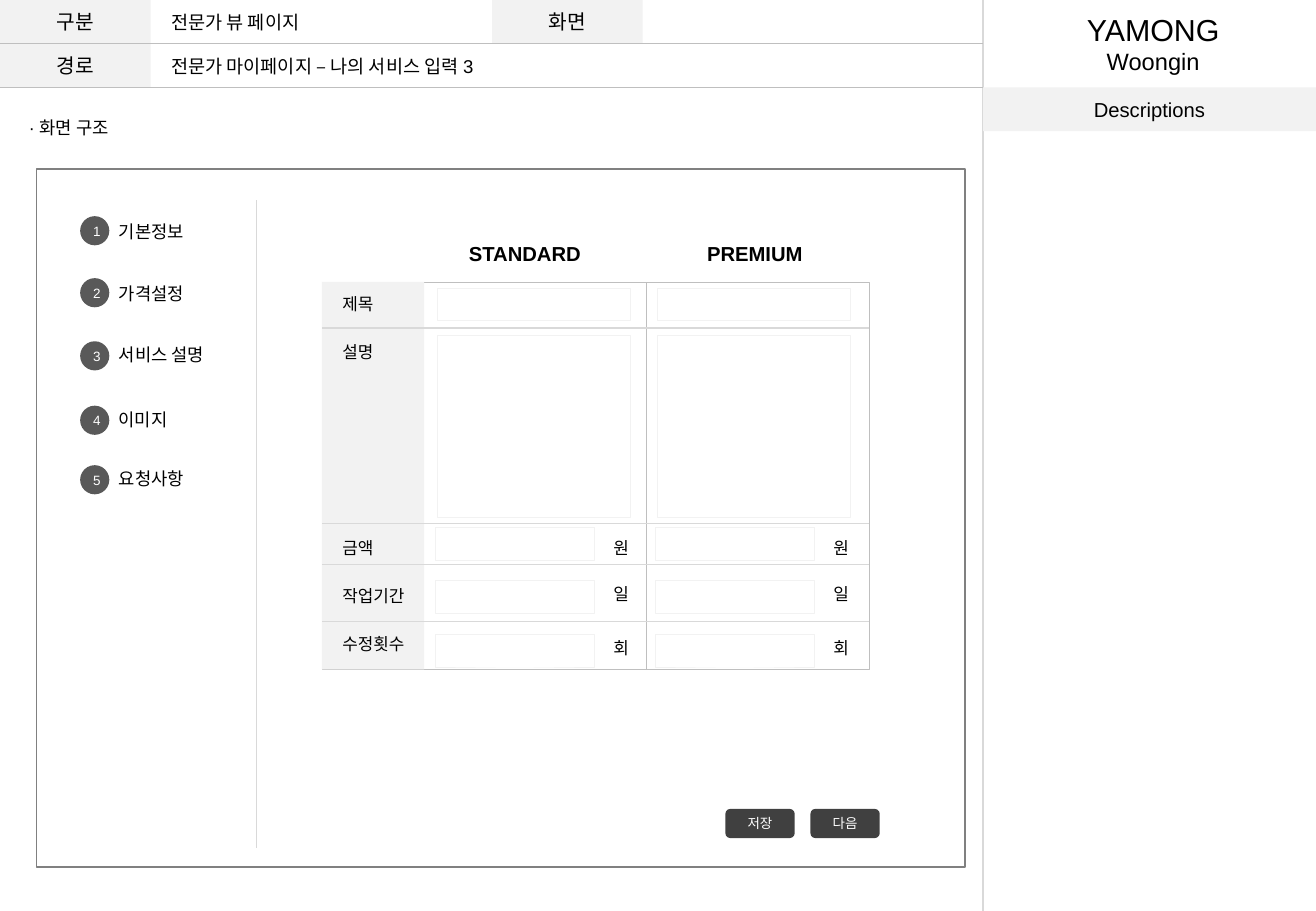
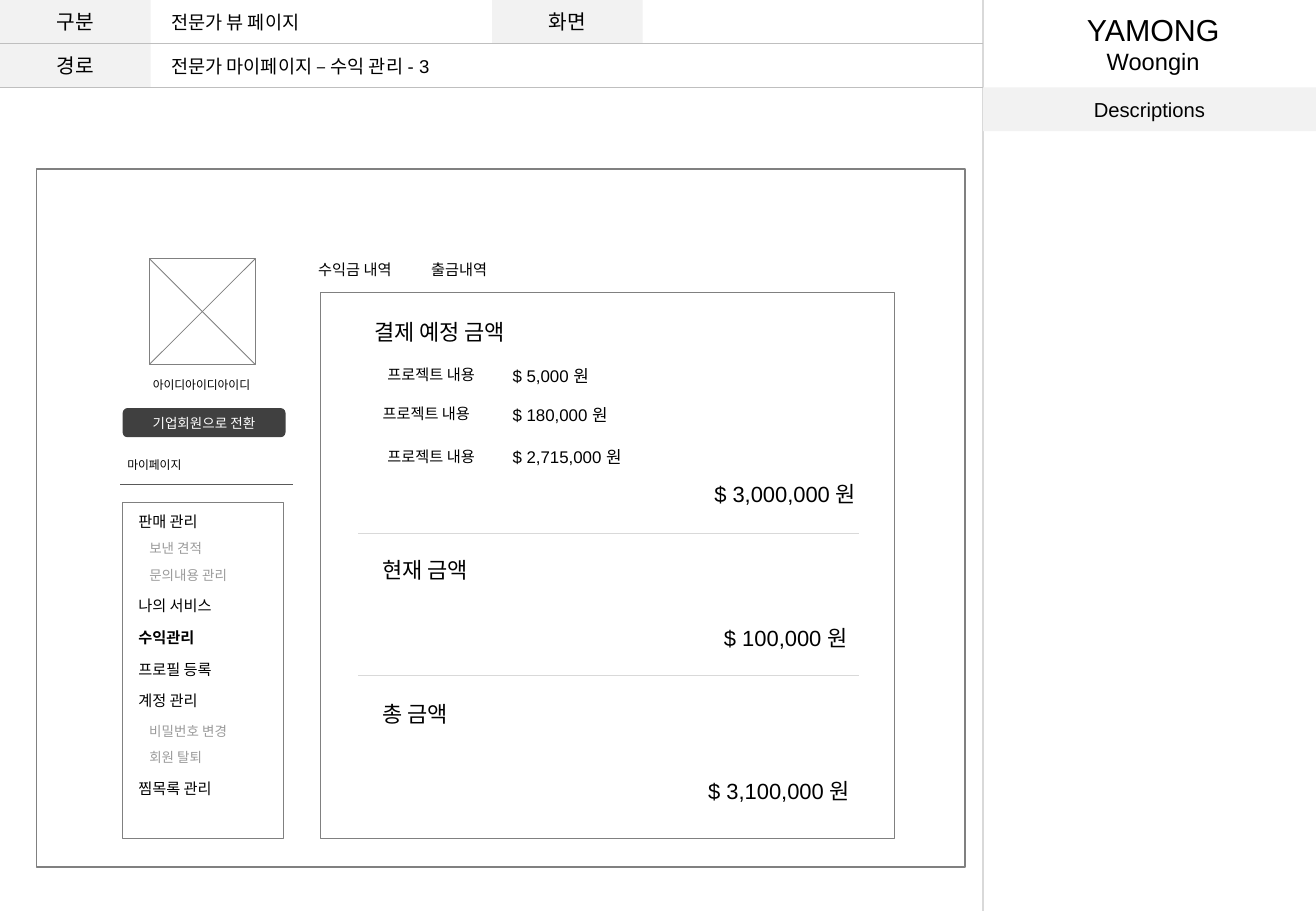
from dataclasses import dataclass
from typing import Optional

import pptx
import pptx.dml.color
import pptx.enum.shapes
import pptx.enum.text
import pptx.oxml.ns
import pptx.util
from lxml import etree

Inches = pptx.util.Inches
Kind = pptx.enum.shapes.MSO_SHAPE
Align = pptx.enum.text.PP_ALIGN

FONT = "Arial"
BLACK, WHITE = "000000", "FFFFFF"
BAND, BUTTON, BADGE = "F2F2F2", "404040", "595959"
FRAME, HEADER_RULE, RULE, MUTED = "808080", "BFBFBF", "D9D9D9", "9B9B9B"
PANEL_LEFT, BAND_HEIGHT, BAND_WIDTH = 8.09, 0.36, 1.24


@dataclass
class Label:
    text: str
    left: float
    top: float
    width: float
    size: float
    color: str = BLACK
    bold: bool = False
    wrap: bool = True
    height: float = 0.27


@dataclass
class Box:
    left: float
    top: float
    width: float
    height: float
    fill: Optional[str] = None
    line: Optional[str] = None
    weight: float = 0.25
    text: str = ""
    size: float = 8
    color: str = WHITE
    kind: Kind = Kind.RECTANGLE


@dataclass
class FormRow:
    title: str
    title_top: float
    input_top: float
    input_height: float = 0.27
    unit: str = ""
    unit_top: float = 0


@dataclass
class MenuItem:
    text: str
    top: float
    width: float
    sub: bool = False
    bold: bool = False


@dataclass
class Amount:
    text: str
    left: float
    top: float


def rgb(color: str) -> pptx.dml.color.RGBColor:
    return pptx.dml.color.RGBColor.from_string(color)


def style_paragraph(paragraph, size: float, color: str, bold: bool = False) -> None:
    paragraph.font.name = FONT
    paragraph.font.size = pptx.util.Pt(size)
    paragraph.font.bold = bold
    paragraph.font.color.rgb = rgb(color)


def draw_label(shapes, label: Label) -> None:
    frame = shapes.add_textbox(Inches(label.left), Inches(label.top),
                               Inches(label.width), Inches(label.height)).text_frame
    frame.word_wrap = label.wrap
    frame.auto_size = pptx.enum.text.MSO_AUTO_SIZE.SHAPE_TO_FIT_TEXT
    frame.text = label.text
    style_paragraph(frame.paragraphs[0], label.size, label.color, label.bold)


def draw_box(shapes, box: Box) -> None:
    shape = shapes.add_shape(box.kind, Inches(box.left), Inches(box.top),
                             Inches(box.width), Inches(box.height))
    shape.shadow.inherit = False
    if box.fill:
        shape.fill.solid()
        shape.fill.fore_color.rgb = rgb(box.fill)
    else:
        shape.fill.background()
    if box.line:
        shape.line.color.rgb = rgb(box.line)
        shape.line.width = pptx.util.Pt(box.weight)
    else:
        shape.line.fill.background()
    if box.text:
        frame = shape.text_frame
        frame.text = box.text
        frame.vertical_anchor = pptx.enum.text.MSO_ANCHOR.MIDDLE
        frame.paragraphs[0].alignment = Align.CENTER
        style_paragraph(frame.paragraphs[0], box.size, box.color)


def draw_line(shapes, start: tuple[float, float], end: tuple[float, float],
              color: str = RULE, weight: float = 0.75) -> None:
    line = shapes.add_connector(pptx.enum.shapes.MSO_CONNECTOR.STRAIGHT,
                                Inches(start[0]), Inches(start[1]),
                                Inches(end[0]), Inches(end[1]))
    line.line.color.rgb = rgb(color)
    line.line.width = pptx.util.Pt(weight)
    etree.SubElement(line._element.spPr, pptx.oxml.ns.qn("a:effectLst"))


def draw_button(shapes, text: str, left: float, top: float, width: float) -> None:
    draw_box(shapes, Box(left, top, width, 0.24, BUTTON, text=text,
                         kind=Kind.ROUNDED_RECTANGLE))


def draw_project_name(shapes) -> None:
    frame = shapes.add_textbox(Inches(8.83), Inches(0.04), Inches(1.32), Inches(0.64)).text_frame
    frame.word_wrap = False
    frame.text = "YAMONG\nWoongin"
    for paragraph, size in zip(frame.paragraphs, (18, 14)):
        paragraph.alignment = Align.CENTER
        style_paragraph(paragraph, size, BLACK)


def add_page(deck, route: str, route_width: float):
    shapes = deck.slides.add_slide(deck.slide_layouts[6]).shapes
    draw_line(shapes, (PANEL_LEFT, 0), (PANEL_LEFT, 7.5))
    for text, left, top, width in (
        ("구분", 0, 0, BAND_WIDTH),
        ("화면", 4.05, 0, BAND_WIDTH),
        ("경로", 0, BAND_HEIGHT, BAND_WIDTH),
        ("Descriptions", PANEL_LEFT, 2 * BAND_HEIGHT, 2.74),
    ):
        draw_box(shapes, Box(left, top, width, BAND_HEIGHT, BAND,
                             text=text, size=12, color=BLACK))
    for row in (1, 2):
        draw_line(shapes, (0, row * BAND_HEIGHT), (PANEL_LEFT, row * BAND_HEIGHT), HEADER_RULE)
    draw_project_name(shapes)
    draw_label(shapes, Label("전문가 뷰 페이지", 1.31, 0.04, 1.37, 11, wrap=False))
    draw_label(shapes, Label(route, 1.31, 0.4, route_width, 11, wrap=False))
    draw_box(shapes, Box(0.3, 1.39, 7.64, 5.75, line=FRAME, weight=1))
    return shapes


def draw_steps(shapes) -> None:
    steps = (
        ("기본정보", 1.78, 1.77, 0.82),
        ("가격설정", 2.29, 2.28, 0.79),
        ("서비스 설명", 2.81, 2.78, 0.98),
        ("이미지", 3.34, 3.32, 0.64),
        ("요청사항", 3.83, 3.8, 0.79),
    )
    for number, (name, badge_top, name_top, width) in enumerate(steps, 1):
        draw_box(shapes, Box(0.66, badge_top, 0.24, 0.24, BADGE,
                             text=str(number), kind=Kind.OVAL))
        draw_label(shapes, Label(name, 0.88, name_top, width, 10.5, wrap=False))
    draw_line(shapes, (2.11, 1.65), (2.11, 6.98))


def draw_price_form(shapes) -> None:
    left, split, right, top, height = 2.65, 5.32, 7.15, 2.32, 3.19
    plan_step = 1.81
    rows = (
        FormRow("제목", 2.37, 2.37),
        FormRow("설명", 2.76, 2.76, 1.5),
        FormRow("금액", 4.38, 4.34, unit="원", unit_top=4.38),
        FormRow("작업기간", 4.77, 4.78, unit="일", unit_top=4.76),
        FormRow("수정횟수", 5.17, 5.22, unit="회", unit_top=5.2),
    )
    draw_box(shapes, Box(left, top, split - left, height, line=HEADER_RULE))
    draw_box(shapes, Box(left, top, 0.84, height, BAND))
    draw_box(shapes, Box(split, top, right - split, height, line=HEADER_RULE))
    for rule_top in (2.7, 4.31, 4.65, 5.12):
        draw_line(shapes, (left, rule_top), (right, rule_top))
    for plan, plan_left in (("STANDARD", 3.76), ("PREMIUM", 5.72)):
        draw_label(shapes, Label(plan, plan_left, 1.94, 1.35, 12, bold=True))
    for row in rows:
        draw_label(shapes, Label(row.title, 2.72, row.title_top, 0.78, 10))
        for shift in (0, plan_step):
            input_left, input_width = (3.58, 1.31) if row.unit else (3.6, 1.59)
            draw_box(shapes, Box(input_left + shift, row.input_top, input_width,
                                 row.input_height, line=BAND))
            if row.unit:
                draw_label(shapes, Label(row.unit, 4.95 + shift, row.unit_top, 0.34, 10))


def build_service_page(deck) -> None:
    shapes = add_page(deck, "전문가 마이페이지 – 나의 서비스 입력 3", 2.94)
    draw_label(shapes, Label("· 화면 구조", 0.14, 0.91, 0.95, 10.5, wrap=False))
    draw_steps(shapes)
    draw_price_form(shapes)
    for text, left in (("저장", 5.97), ("다음", 6.67)):
        draw_button(shapes, text, left, 6.66, 0.57)


def draw_profile(shapes) -> None:
    left, top, side = 1.23, 2.13, 0.87
    photo = shapes.add_group_shape().shapes
    draw_box(photo, Box(left, top, side, side, line=FRAME, weight=0.5))
    draw_line(photo, (left, top + side), (left + side, top), FRAME, 0.5)
    draw_line(photo, (left + side, top + side), (left, top), FRAME, 0.5)
    draw_label(shapes, Label("아이디아이디아이디", 1.16, 3.06, 1.33, 7))
    draw_button(shapes, "기업회원으로 전환", 1.01, 3.36, 1.34)
    draw_label(shapes, Label("마이페이지", 0.95, 3.72, 0.7, 7, wrap=False, height=0.22))
    draw_line(shapes, (0.99, 3.99), (2.41, 3.99), BADGE)


def draw_menu(shapes) -> None:
    draw_box(shapes, Box(1.01, 4.14, 1.32, 2.76, line=FRAME, weight=0.5))
    for item in (
        MenuItem("판매 관리", 4.17, 0.74),
        MenuItem("보낸 견적", 4.4, 0.69, sub=True),
        MenuItem("문의내용 관리", 4.62, 0.91, sub=True),
        MenuItem("나의 서비스", 4.86, 0.87),
        MenuItem("수익관리", 5.12, 0.71, bold=True),
        MenuItem("프로필 등록", 5.39, 0.87),
        MenuItem("계정 관리", 5.64, 0.74),
        MenuItem("비밀번호 변경", 5.9, 0.9, sub=True),
        MenuItem("회원 탈퇴", 6.12, 0.68, sub=True),
        MenuItem("찜목록 관리", 6.37, 0.87),
    ):
        left, size, color = (1.13, 8, MUTED) if item.sub else (1.04, 9, BLACK)
        draw_label(shapes, Label(item.text, left, item.top, item.width, size, color,
                                 item.bold, wrap=False, height=0.24))


def draw_earnings(shapes) -> None:
    for tab, left, width in (("수익금 내역", 2.52, 0.86), ("출금내역", 3.45, 0.71)):
        draw_label(shapes, Label(tab, left, 2.09, width, 9, wrap=False, height=0.24))
    draw_box(shapes, Box(2.64, 2.41, 4.72, 4.49, line=FRAME, weight=0.5))
    for amount in (
        Amount("결제 예정 금액", 2.98, 2.57),
        Amount("$ 3,000,000 원", 5.78, 3.91),
        Amount("현재 금액", 3.05, 4.53),
        Amount("$ 100,000 원", 5.86, 5.09),
        Amount("총 금액", 3.05, 5.72),
        Amount("$ 3,100,000 원", 5.73, 6.35),
    ):
        draw_label(shapes, Label(amount.text, amount.left, amount.top, 2.13, 13, height=0.32))
    for price, project_left, top in (
        ("$ 5,000 원", 3.09, 2.96),
        ("$ 180,000 원", 3.05, 3.28),
        ("$ 2,715,000 원", 3.09, 3.63),
    ):
        draw_label(shapes, Label("프로젝트 내용", project_left, top, 1.26, 9, height=0.24))
        draw_label(shapes, Label(price, 4.12, top, 2.13, 10, height=0.26))
    for rule_top in (4.39, 5.56):
        draw_line(shapes, (2.95, rule_top), (7.07, rule_top))


def build_earnings_page(deck) -> None:
    shapes = add_page(deck, "전문가 마이페이지 – 수익 관리 - 3", 2.51)
    draw_profile(shapes)
    draw_menu(shapes)
    draw_earnings(shapes)


def main() -> None:
    deck = pptx.Presentation()
    deck.slide_width, deck.slide_height = Inches(10.83), Inches(7.5)
    build_service_page(deck)
    build_earnings_page(deck)
    deck.save("out.pptx")


if __name__ == "__main__":
    main()
